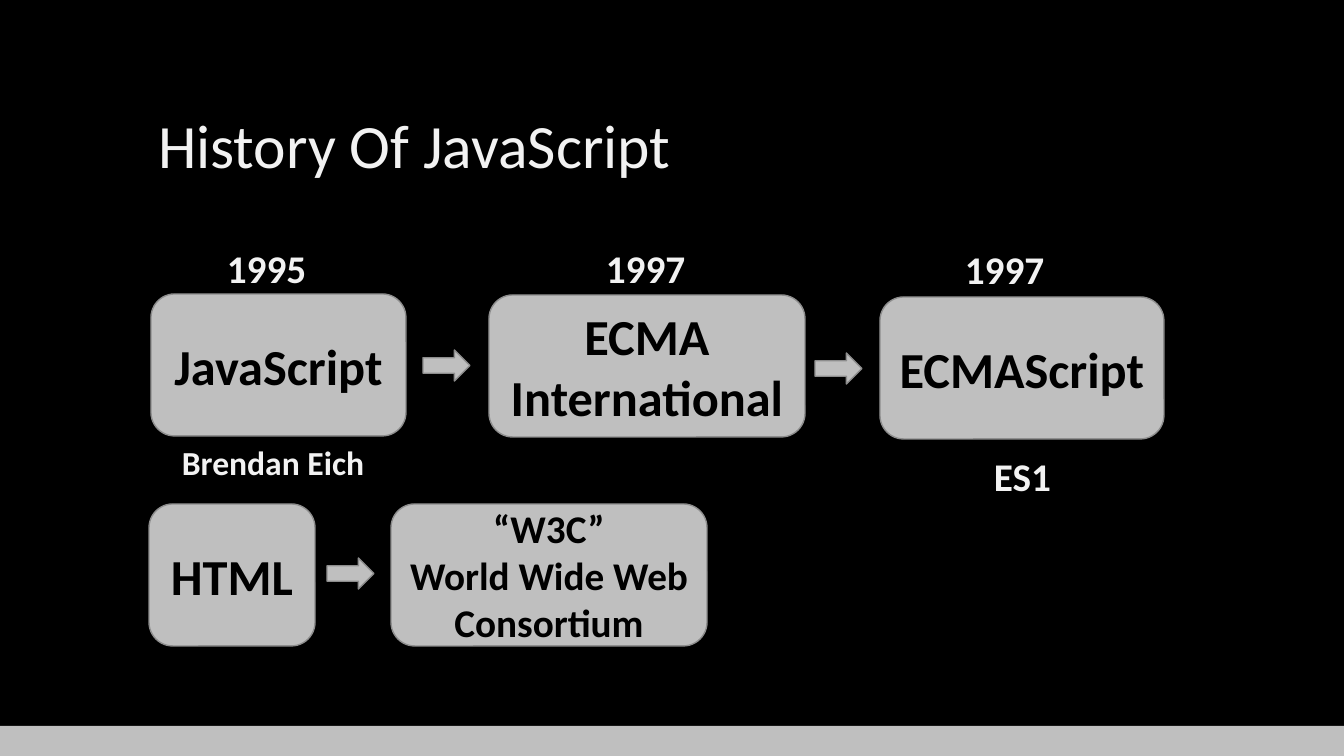
from pptx import Presentation
from pptx.dml.color import RGBColor
from pptx.enum.shapes import MSO_SHAPE as SHAPE
from pptx.enum.text import MSO_ANCHOR as ANCHOR, MSO_AUTO_SIZE as AUTO, PP_ALIGN as ALIGN
from pptx.util import Pt

# Content: places are (left, top, width, height) in px
TITLE = ("History Of JavaScript", (148, 51, 1048, 136))
BOX_H = 142
BOXES = [  # left, top, width, size name, lines
    (151, 294, 255, "box", ["JavaScript"]),
    (489, 295, 316, "box", ["ECMA International"]),
    (880, 297, 284, "box", ["ECMAScript"]),
    (149, 504, 166, "box", ["HTML"]),
    (391, 504, 316, "label", ["“W3C”", "World Wide Web Consortium"]),
]
ARROW_W, ARROW_H = 47, 31
ARROWS = [(423, 350), (815, 353), (327, 558)]
LABELS = [  # text, size name, place
    ("1995", "label", (217, 239, 101, 57)),
    ("1997", "label", (596, 239, 101, 57)),
    ("1997", "label", (955, 240, 101, 57)),
    ("Brendan Eich", "name", (172, 437, 205, 50)),
    ("ES1", "label", (984, 447, 78, 57)),
]
FOOTER_BAR = (0, 726, 1344, 30)

THEME = {
    "font": "Calibri",
    "sizes": {"title": 44, "box": 36, "label": 28, "name": 24},
    "colors": {"back": "000000", "fill": "BFBFBF", "edge": "8D8D8D",
               "light": "F2F2F2", "dark": "000000"},
}


def px(n):
    return round(n * 914400 / 100.8)


def color(name):
    return RGBColor.from_string(THEME["colors"][name])


def write(tf, lines, size, ink, bold=True, align=ALIGN.LEFT):
    for i, line in enumerate(lines):
        p = tf.add_paragraph() if i else tf.paragraphs[0]
        p.alignment = align
        r = p.add_run()
        r.text = line
        style = {"name": THEME["font"], "size": Pt(THEME["sizes"][size]), "bold": bold}
        for key, value in style.items():
            setattr(r.font, key, value)
        r.font.color.rgb = color(ink)


def add_shape(kind, place, outlined=True):
    sp = s.shapes.add_shape(kind, *map(px, place))
    sp.shadow.inherit = False
    sp.fill.solid()
    sp.fill.fore_color.rgb = color("fill")
    if outlined:
        sp.line.color.rgb = color("edge")
        sp.line.width = Pt(1)
    else:
        sp.line.fill.background()
    return sp


# Slide and background
prs = Presentation()
prs.slide_width, prs.slide_height = px(1344), px(756)
s = prs.slides.add_slide(prs.slide_layouts[5])
s.background.fill.solid()
s.background.fill.fore_color.rgb = color("back")
add_shape(SHAPE.RECTANGLE, FOOTER_BAR, outlined=False)

# Title
text, place = TITLE
title = s.shapes.title
for key, value in zip(("left", "top", "width", "height"), place):
    setattr(title, key, px(value))
tf = title.text_frame
for key, value in {"vertical_anchor": ANCHOR.BOTTOM, "auto_size": AUTO.NONE,
                   "word_wrap": True}.items():
    setattr(tf, key, value)
write(tf, [text], "title", "light", bold=False)
tf.paragraphs[0].line_spacing = 0.9

# Boxes
for left, top, width, size, lines in BOXES:
    tf = add_shape(SHAPE.ROUNDED_RECTANGLE, (left, top, width, BOX_H)).text_frame
    tf.vertical_anchor = ANCHOR.MIDDLE
    tf.word_wrap = True
    write(tf, lines, size, "dark", align=ALIGN.CENTER)

# Arrows
for left, top in ARROWS:
    add_shape(SHAPE.RIGHT_ARROW, (left, top, ARROW_W, ARROW_H))

# Years and captions
for text, size, place in LABELS:
    tf = s.shapes.add_textbox(*map(px, place)).text_frame
    tf.word_wrap = False
    tf.auto_size = AUTO.SHAPE_TO_FIT_TEXT
    write(tf, [text], size, "light")

prs.save("out.pptx")
